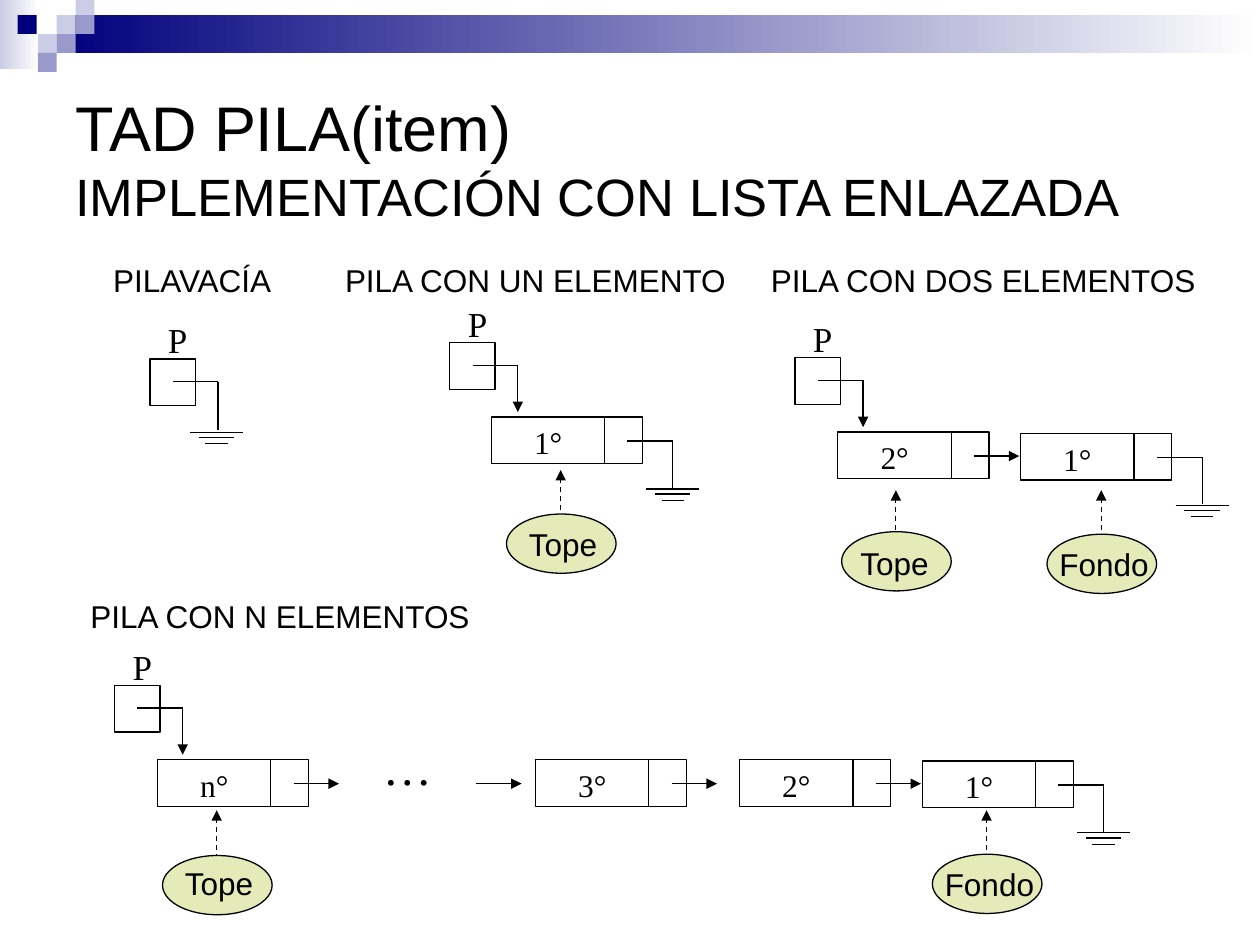
from dataclasses import dataclass

from lxml.etree import SubElement
from pptx import Presentation
from pptx.dml.color import RGBColor
from pptx.enum.dml import MSO_LINE
from pptx.enum.shapes import MSO_CONNECTOR, MSO_SHAPE
from pptx.enum.text import MSO_ANCHOR, MSO_AUTO_SIZE, PP_ALIGN
from pptx.oxml.ns import qn
from pptx.util import Inches, Pt


@dataclass(frozen=True)
class Theme:
    """Colours, fonts and type sizes."""
    ink: str = "000000"
    paper: str = "FFFFFF"
    navy: str = "00007D"
    pale: str = "CCCCE6"
    mid: str = "9999CC"
    tag: str = "E4EAB8"
    sans: str = "Arial"
    serif: str = "Times New Roman"
    title: int = 36
    subtitle: int = 30
    body: int = 18
    pointer: int = 20
    dots: int = 28
    line: float = 0.75
    thin: float = 0.5


T = Theme()

TITLE = [("TAD PILA(item)", T.title), ("IMPLEMENTACIÓN CON LISTA ENLAZADA", T.subtitle)]
BANDS = [(0, -0.03, 0.31, 0.58, T.pale), (0.45, 0.12, 9.55, 0.3, T.navy)]
SQUARES = [(0.45, 0.12, T.pale), (0.6, -0.03, T.pale), (0.6, 0.12, T.mid),
           (0.3, 0.27, T.pale), (0.14, 0.12, T.navy), (0.45, 0.27, T.mid),
           (0.3, 0.42, T.mid)]

# heading: text, x, y, width; pointer: x, y; nodes: text, x, y (the last is grounded)
# tags: text, ellipse x, y, text x, y, arrow bottom
STACKS = [
    dict(heading=("PILAVACÍA", 0.8, 2.02, 1.49), pointer=(1.19, 2.85), nodes=[], tags=[]),
    dict(heading=("PILA CON UN ELEMENTO", 2.64, 2.02, 3.24), pointer=(3.57, 2.72),
         nodes=[("1°", 3.9, 3.31)],
         tags=[("Tope", 4.02, 4.08, 4.1, 4.12, 4.12)]),
    dict(heading=("PILA CON DOS ELEMENTOS", 6.02, 2.02, 3.59), pointer=(6.31, 2.84),
         nodes=[("2°", 6.65, 3.43), ("1°", 8.1, 3.44)],
         tags=[("Tope", 6.68, 4.22, 6.73, 4.27, 4.28),
               ("Fondo", 8.31, 4.24, 8.31, 4.28, 4.28)]),
    dict(heading=("PILA CON N ELEMENTOS", 0.62, 4.69, 3.23), pointer=(0.91, 5.44),
         nodes=[("n°", 1.25, 6.03), ("3°", 4.25, 6.03), ("2°", 5.87, 6.03),
                ("1°", 7.32, 6.04)],
         tags=[("Tope", 1.29, 6.79, 1.37, 6.81, 6.82),
               ("Fondo", 7.4, 6.78, 7.4, 6.82, 6.82)]),
]
TAG_TEXT_W = {"Tope": 0.77, "Fondo": 0.91}
BOX_W, BOX_H, DATA_W, LINK_W = 0.36, 0.37, 0.9, 0.3
REACH = 0.36  # horizontal run of every link
GROUND = [(0.21, 0), (0.14, 0.04), (0.09, 0.09)]  # half width, drop

prs = Presentation()
prs.slide_width, prs.slide_height = Inches(10), Inches(7.5)
s = prs.slides.add_slide(prs.slide_layouts[6])


def rgb(color):
    """Turn a hex string into a colour."""
    return RGBColor.from_string(color)


def text(lines, x, y, w, h, font=T.sans, align=PP_ALIGN.LEFT,
         anchor=MSO_ANCHOR.TOP, wrap=True):
    """Add a text box with one paragraph of (text, size) lines."""
    tf = s.shapes.add_textbox(Inches(x), Inches(y), Inches(w), Inches(h)).text_frame
    tf.word_wrap = wrap
    tf.auto_size = MSO_AUTO_SIZE.NONE if wrap else MSO_AUTO_SIZE.SHAPE_TO_FIT_TEXT
    tf.vertical_anchor = anchor
    p = tf.paragraphs[0]
    p.alignment = align
    for i, (words, size) in enumerate(lines):
        if i:
            p.add_line_break()
        r = p.add_run()
        r.text = words
        r.font.name, r.font.size = font, Pt(size)
        r.font.color.rgb = rgb(T.ink)


def shape(x, y, w, h, fill=T.paper, kind=MSO_SHAPE.RECTANGLE, outline=True, fade=False):
    """Add a filled shape, plain or fading to paper from left to right."""
    sp = s.shapes.add_shape(kind, Inches(x), Inches(y), Inches(w), Inches(h))
    sp.shadow.inherit = False
    if fade:
        sp.fill.gradient()
        sp.fill.gradient_angle = 0
        for stop, color, pos in zip(sp.fill.gradient_stops, (fill, T.paper), (0, 1)):
            stop.color.rgb, stop.position = rgb(color), pos
    else:
        sp.fill.solid()
        sp.fill.fore_color.rgb = rgb(fill)
    if outline:
        sp.line.color.rgb, sp.line.width = rgb(T.ink), Pt(T.line)
    else:
        sp.line.fill.background()


def line(x1, y1, x2, y2, width=T.line, arrow=False, dash=False):
    """Add a straight line, optionally dashed or with an arrowhead."""
    c = s.shapes.add_connector(MSO_CONNECTOR.STRAIGHT, Inches(x1), Inches(y1),
                               Inches(x2), Inches(y2))
    c.line.color.rgb, c.line.width = rgb(T.ink), Pt(width)
    if dash:
        c.line.dash_style = MSO_LINE.DASH
    if arrow:
        SubElement(c.line._get_or_add_ln(), qn("a:tailEnd"), type="triangle")
    SubElement(c._element.spPr, qn("a:effectLst"))


def ground(x, y):
    """Draw the null symbol centred on x."""
    for half, drop in GROUND:
        line(x - half, y + drop, x + half, y + drop)


def pointer(x, y, null):
    """Draw the P box with its bent link, to a node or to null."""
    shape(x, y, BOX_W, BOX_H)
    bend, mid = x + 0.18 + REACH, y + 0.18
    line(x + 0.18, mid, bend, mid)
    line(bend, mid, bend, mid + (0.38 if null else 0.37), arrow=not null)
    if null:
        ground(bend - 0.01, y + 0.58)
    text([("P", T.pointer)], x - 0.05, y - 0.37, 0.54, 0.56, font=T.serif,
         align=PP_ALIGN.CENTER)


def node(label, x, y, last):
    """Draw a list cell with its link to the next cell or to null."""
    shape(x, y, DATA_W, BOX_H)
    shape(x + DATA_W, y, LINK_W, BOX_H)
    start, mid = x + 1.08, y + 0.19
    line(start, mid, start + REACH, mid, arrow=not last)
    if last:
        line(start + REACH, mid, start + REACH, y + 0.56, width=T.thin)
        ground(start + REACH, y + 0.57)
    text([(label, T.body)], x + 0.24, y, 0.54, 0.56, font=T.serif)


def tag(label, x, y, text_x, text_y, bottom):
    """Draw an oval label with a dashed arrow up to its cell."""
    line(x + 0.43, bottom, x + 0.43, bottom - 0.39, arrow=True, dash=True)
    shape(x, y, 0.87, 0.47, fill=T.tag, kind=MSO_SHAPE.OVAL)
    text([(label, T.body)], text_x, text_y, TAG_TEXT_W[label], 0.4, wrap=False)


for *box, color in BANDS:
    shape(*box, fill=color, outline=False, fade=True)
for x, y, color in SQUARES:
    shape(x, y, 0.15, 0.15, fill=color, outline=False)
text(TITLE, 0.5, 0.5, 9, 1.5, anchor=MSO_ANCHOR.MIDDLE)

for stack in STACKS:
    heading, x, y, w = stack["heading"]
    text([(heading, T.body)], x, y, w, 0.4, wrap=False)
    nodes = stack["nodes"]
    pointer(*stack["pointer"], null=not nodes)
    for i, cell in enumerate(nodes, 1):
        node(*cell, last=i == len(nodes))
    for item in stack["tags"]:
        tag(*item)

text([("…", T.dots)], 2.94, 5.8, 0.67, 0.56, font=T.serif)
line(3.78, 6.22, 3.78 + REACH, 6.22, arrow=True)

prs.save("out.pptx")
